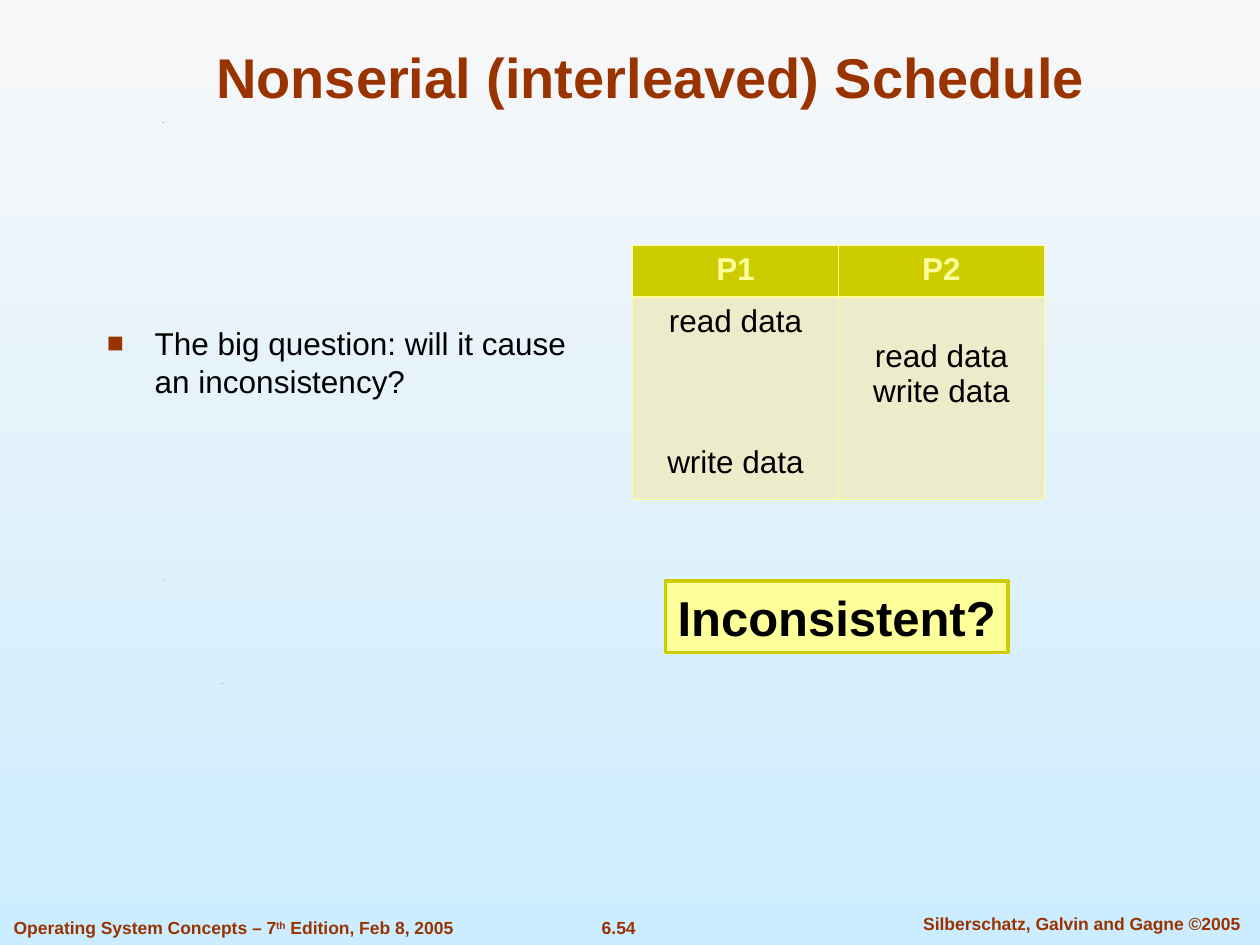
from dataclasses import dataclass
from typing import Any

from lxml.etree import SubElement
from pptx import Presentation
from pptx.dml.color import RGBColor
from pptx.enum.shapes import MSO_SHAPE as Preset
from pptx.enum.text import MSO_ANCHOR as Anchor, MSO_AUTO_SIZE as AutoSize, PP_ALIGN as Align
from pptx.oxml.ns import qn
from pptx.util import Inches, Pt

COLORS = {
    "rust": "993300", "ink": "000000", "olive": "CCCC00", "lemon": "FFFF99",
    "cream": "ECECCB", "sky_top": "F8F8F8", "sky_bottom": "CCECFF",
}
COLUMNS, ROWS = 10, 7.5


def color(name):
    return RGBColor.from_string(COLORS[name])


@dataclass
class Deck:
    presentation: Any
    slide: Any = None
    font: str = "Arial"

    def area(self, left, top, width, height):
        """Turn grid columns and rows into slide lengths."""
        column = self.presentation.slide_width / COLUMNS
        row = self.presentation.slide_height / ROWS
        return [round(v) for v in (left * column, top * row, width * column, height * row)]

    def add_slide(self):
        self.slide = self.presentation.slides.add_slide(self.presentation.slide_layouts[5])
        fill = self.slide.background.fill
        fill.gradient()
        fill.gradient_angle = 270
        for stop, name in zip(fill.gradient_stops, ("sky_top", "sky_bottom")):
            stop.color.rgb = color(name)

    def style(self, paragraph, size, ink, bold=False, align=Align.LEFT):
        paragraph.alignment = align
        font = paragraph.font
        font.name, font.size, font.bold = self.font, Pt(size), bold
        font.color.rgb = color(ink)

    def title(self, text, *area):
        heading = self.slide.shapes.title
        heading.left, heading.top, heading.width, heading.height = self.area(*area)
        frame = heading.text_frame
        frame.text = text
        frame.vertical_anchor = Anchor.BOTTOM
        frame.auto_size = AutoSize.NONE
        self.style(frame.paragraphs[0], 32, "rust", True, Align.CENTER)

    def text(self, text, *area, wrap=True):
        frame = self.slide.shapes.add_textbox(*self.area(*area)).text_frame
        frame.word_wrap = wrap
        paragraph = frame.paragraphs[0]
        paragraph.text = text
        return paragraph

    def footer(self, text, *area, wrap=False, align=Align.CENTER):
        paragraph = self.text(text, *area, wrap=wrap)
        self.style(paragraph, 10, "rust", True, align)
        return paragraph

    def bullet(self, text, *area):
        paragraph = self.text(text, *area)
        props = paragraph._p.get_or_add_pPr()
        props.set("marL", str(Inches(0.38)))
        props.set("indent", str(-Inches(0.38)))
        SubElement(SubElement(props, qn("a:buClr")), qn("a:srgbClr"), val=COLORS["rust"])
        SubElement(props, qn("a:buSzPct"), val="90000")
        SubElement(props, qn("a:buFont"), typeface=self.font)
        SubElement(props, qn("a:buChar"), char="■")
        self.style(paragraph, 18, "ink")

    def borders(self, cell, **widths):
        props = cell._tc.get_or_add_tcPr()
        for side in "LRTB":
            line = SubElement(props, qn(f"a:ln{side}"), w=str(Pt(widths.get(side, 0.45))))
            SubElement(SubElement(line, qn("a:solidFill")), qn("a:srgbClr"), val=COLORS["lemon"])

    def schedule(self, processes, row_heights, *area):
        """Draw one column per process: name, lines skipped at the top, (operation, lines skipped before)."""
        line = Pt(20.2)
        table = self.slide.shapes.add_table(2, len(processes), *self.area(*area)).table
        table.horz_banding = False
        for row, height in zip(table.rows, row_heights):
            row.height = self.area(0, 0, 0, height)[3]
        for column, (name, skipped, operations) in enumerate(processes):
            header, body = table.cell(0, column), table.cell(1, column)
            self.borders(header, B=1.47)
            self.borders(body, T=1.47)
            for cell, fill in ((header, "olive"), (body, "cream")):
                cell.fill.solid()
                cell.fill.fore_color.rgb = color(fill)
            header.text = name
            self.style(header.text_frame.paragraphs[0], 18, "lemon", True, Align.CENTER)
            body.margin_top = Inches(0.05) + skipped * line
            body.text = "\n".join(operation for operation, _ in operations)
            for paragraph, (_, gap) in zip(body.text_frame.paragraphs, operations):
                self.style(paragraph, 18, "ink", align=Align.CENTER)
                if gap:
                    paragraph.space_before = gap * line

    def callout(self, text, *area):
        box = self.slide.shapes.add_shape(Preset.RECTANGLE, *self.area(*area))
        box.shadow.inherit = False
        box.fill.solid()
        box.fill.fore_color.rgb = color("lemon")
        box.line.color.rgb = color("olive")
        box.line.width = Pt(2)
        frame = box.text_frame
        frame.text = text
        frame.word_wrap = False
        frame.vertical_anchor = Anchor.TOP
        self.style(frame.paragraphs[0], 28, "ink", True)

    def speck(self, left, top):
        x, y, size, _ = self.area(left, top, 0.01, 0)
        builder = self.slide.shapes.build_freeform(x, y + size // 2)
        builder.add_line_segments([(x + size, y), (x + size // 2, y + size // 2)], close=True)
        mark = builder.convert_to_shape()
        mark.shadow.inherit = False
        mark.fill.solid()
        mark.fill.fore_color.rgb = color("ink")
        mark.line.fill.background()


def main():
    presentation = Presentation()
    presentation.slide_width, presentation.slide_height = Inches(10), Inches(7.5)
    deck = Deck(presentation)
    deck.add_slide()

    for left, top in ((1.76, 5.42), (1.3, 4.6), (1.29, 0.97)):
        deck.speck(left, top)
    deck.footer("6.54", 4.42, 7.23, 0.98, 0.27)
    deck.footer("Silberschatz, Galvin and Gagne ©2005", 7.1, 7.2, 2.97, 0.27, wrap=True)
    edition = deck.footer("Operating System Concepts – 7", 0.01, 7.23, 3.69, 0.27, align=Align.LEFT)
    ordinal = edition.add_run()
    ordinal.text = "th"
    ordinal.font._element.set("baseline", "30000")
    edition.add_run().text = " Edition, Feb 8, 2005"

    deck.title("Nonserial (interleaved) Schedule", 0.75, 0.25, 8.83, 0.67)
    deck.bullet("The big question: will it cause an inconsistency?", 0.75, 2.52, 3.97, 0.78)
    processes = [
        ("P1", 0, [("read data", 0), ("write data", 3)]),
        ("P2", 1, [("read data", 0), ("write data", 0)]),
    ]
    deck.schedule(processes, (0.41, 1.6), 5.02, 1.95, 3.27, 2.01)
    deck.callout("Inconsistent?", 5.28, 4.61, 2.72, 0.57)
    presentation.save("out.pptx")


if __name__ == "__main__":
    main()
